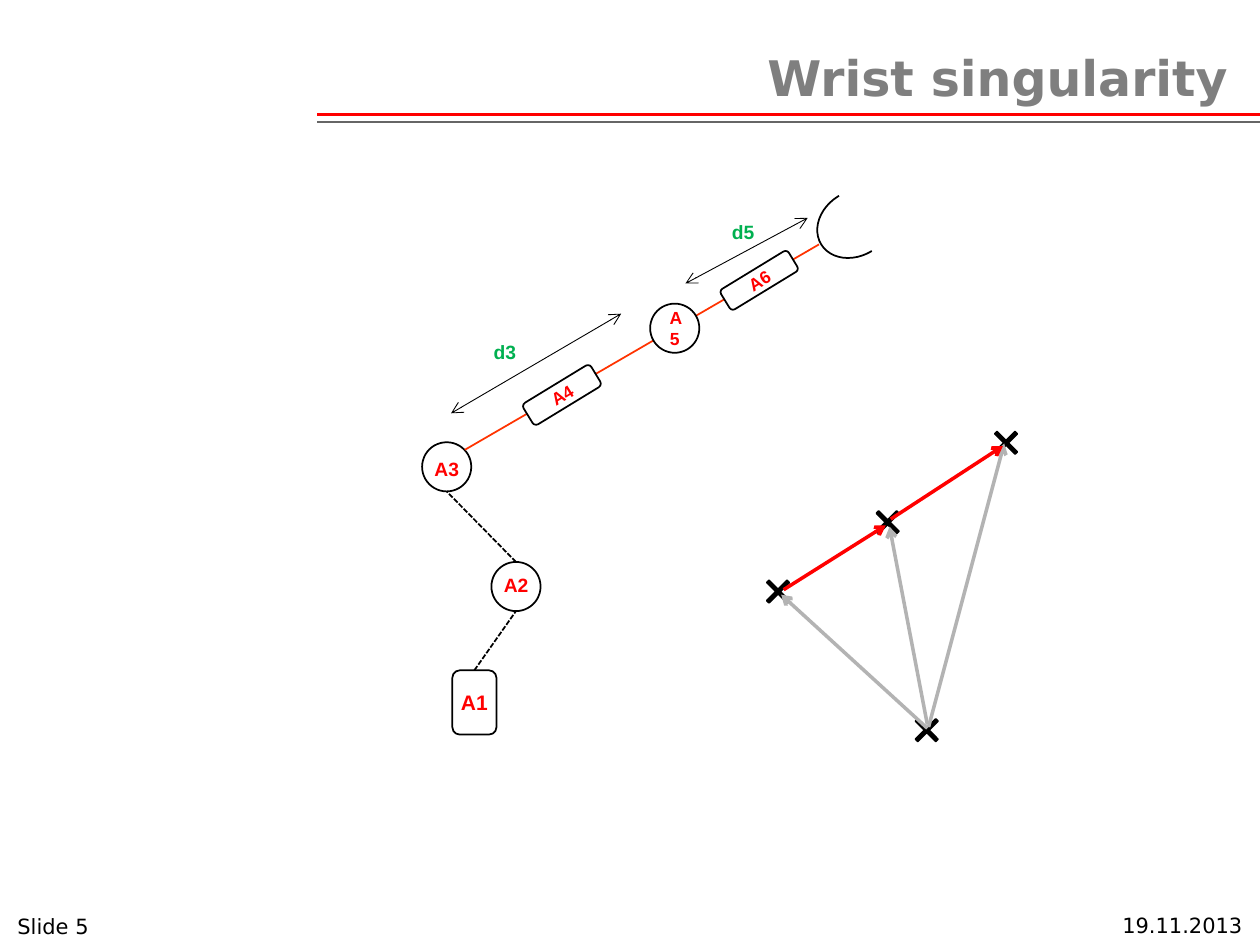
import pptx
import pptx.util
import pptx.dml.color
import pptx.enum.dml
import pptx.enum.shapes
import pptx.enum.text
import pptx.oxml.ns
import lxml.etree

Inches = pptx.util.Inches
SHAPE = pptx.enum.shapes.MSO_SHAPE
ALIGN = pptx.enum.text.PP_ALIGN
ANCHOR = pptx.enum.text.MSO_ANCHOR
FIT = pptx.enum.text.MSO_AUTO_SIZE
DASH = pptx.enum.dml.MSO_LINE.SQUARE_DOT

THEME = {
    "title_font": "DejaVu Sans", "label_font": "Arial",
    "title": "7F7F7F", "black": "000000", "white": "FFFFFF",
    "red": "FF0000", "rule": "666666", "arm": "FF3300",
    "distance": "00B050", "vector": "B3B3B3",
    "title_size": 28, "footer_size": 12, "base_size": 12,
    "joint_size": 11, "wrist_size": 10,
    "rule_width": 1.42, "thin": 0.5, "normal": 1, "thick": 2,
}

# Content: boxes are (left, top, width, height), lines are (x1, y1, x2, y2)
TITLE = ("Wrist singularity", (2.42, 0.22, 7.42, 0.78))
FOOTERS = [
    ("19.11.2013", (7.52, 7.18, 2.44, 0.31), ALIGN.RIGHT),
    ("Slide 5", (0.04, 7.18, 1.18, 0.32), ALIGN.LEFT),
]
RULES = [(0.91, "red"), (0.97, "rule")]
RULE_SPAN = (2.52, 10)

JOINT = 0.39
BASE = ("A1", (3.59, 5.32, 0.35, 0.51))
JOINTS = {"A2": (3.9, 4.46), "A3": (3.35, 3.51)}
JOINT_LABELS = [("A2", (3.9, 4.5, 0.47, 0.29)), ("A3", (3.35, 3.58, 0.47, 0.29))]
WRIST_JOINT = ("A5", (5.16, 2.41, JOINT, JOINT))
ROLL_AXES = [("A4", (4.36, 2.82, 0.2, 0.63)), ("A6", (5.93, 1.91, 0.19, 0.63))]
ROLL_ANGLE = 58.6
ARM = (3.69, 3.57, 6.5, 1.94)
GRIPPER = (6.47, 1.52, 0.63, 0.51)
DISTANCES = [
    ("d3", (3.82, 2.65, 0.38, 0.29), (4.93, 2.49, 3.58, 3.28)),
    ("d5", (5.71, 1.7, 0.38, 0.29), (6.41, 1.73, 5.44, 2.25)),
]

CROSS = 0.31
CROSSES = [(6.02, 4.54), (6.89, 3.99), (7.83, 3.36), (7.2, 5.64)]
VECTORS = [
    ("vector", (7.36, 5.78, 6.2, 4.72)),
    ("vector", (7.36, 5.75, 7.06, 4.18)),
    ("vector", (7.37, 5.77, 7.97, 3.52)),
    ("red", (6.22, 4.68, 7.03, 4.17)),
    ("red", (7.07, 4.12, 7.96, 3.54)),
]

deck = pptx.Presentation()
deck.slide_width, deck.slide_height = Inches(10), Inches(7.5)
page = deck.slides.add_slide(deck.slide_layouts[6])


def color(name):
    return pptx.dml.color.RGBColor.from_string(THEME[name])


def write(shape, text, size, ink, font="label_font", bold=True, align=ALIGN.LEFT,
          anchor=ANCHOR.TOP, wrap=True, grow=True, insets=(0.1, 0.05)):
    frame = shape.text_frame
    frame.word_wrap = wrap
    frame.auto_size = FIT.SHAPE_TO_FIT_TEXT if grow else FIT.NONE
    frame.vertical_anchor = anchor
    frame.margin_left = frame.margin_right = Inches(insets[0])
    frame.margin_top = frame.margin_bottom = Inches(insets[1])
    para = frame.paragraphs[0]
    para.alignment = align
    span = para.add_run()
    span.text = text
    span.font.name = THEME[font]
    span.font.size = pptx.util.Pt(THEME[size])
    span.font.bold = bold
    span.font.color.rgb = color(ink)


def add_label(text, place, *style, **options):
    box = page.shapes.add_textbox(*map(Inches, place))
    write(box, text, *style, **options)


def add_outline(kind, place, fill=None, angle=0, adjustments=()):
    shape = page.shapes.add_shape(kind, *map(Inches, place))
    shape.shadow.inherit = False
    shape.rotation = angle
    for index, value in enumerate(adjustments):
        shape.adjustments[index] = value
    if fill:
        shape.fill.solid()
        shape.fill.fore_color.rgb = color(fill)
    else:
        shape.fill.background()
    shape.line.color.rgb = color("black")
    shape.line.width = pptx.util.Pt(THEME["normal"])
    return shape


def add_line(points, ink, width, dash=None, arrows=()):
    line = page.shapes.add_connector(
        pptx.enum.shapes.MSO_CONNECTOR.STRAIGHT, *map(Inches, points))
    line.line.color.rgb = color(ink)
    line.line.width = pptx.util.Pt(THEME[width])
    if dash:
        line.line.dash_style = dash
    stroke = line.line._get_or_add_ln()
    for end in arrows:
        lxml.etree.SubElement(stroke, pptx.oxml.ns.qn("a:" + end), type="arrow")
    properties = stroke.getparent()
    lxml.etree.SubElement(properties, pptx.oxml.ns.qn("a:effectLst"))
    return line


# Heading, rules and footers
for height, ink in RULES:
    add_line((RULE_SPAN[0], height, RULE_SPAN[1], height), ink, "rule_width")
add_label(*TITLE, "title_size", "title", font="title_font",
          align=ALIGN.RIGHT, anchor=ANCHOR.MIDDLE, grow=False)
for text, place, align in FOOTERS:
    add_label(text, place, "footer_size", "black", font="title_font", bold=False,
              align=align, anchor=ANCHOR.BOTTOM, grow=False)

# Robot base, lower joints and the dashed links between them
base = add_outline(SHAPE.ROUNDED_RECTANGLE, BASE[1])
write(base, BASE[0], "base_size", "red", align=ALIGN.CENTER,
      anchor=ANCHOR.MIDDLE, insets=(0.04, 0.05))
lower = base
for left, top in JOINTS.values():
    joint = add_outline(SHAPE.OVAL, (left, top, JOINT, JOINT))
    link = add_line((0, 0, left + JOINT / 2, top + JOINT), "black", "normal", DASH)
    link.begin_connect(lower, 0)
    lower = joint
for text, place in JOINT_LABELS:
    add_label(text, place, "joint_size", "red")

# Gripper and distances
add_outline(SHAPE.ARC, GRIPPER, angle=148.4, adjustments=(162, 55.09))
for text, place, points in DISTANCES:
    add_line(points, "black", "thin", arrows=("headEnd", "tailEnd"))
    add_label(text, place, "joint_size", "distance", wrap=False)

# Upper arm with the wrist axes on top
add_line(ARM, "arm", "normal")
wrist = add_outline(SHAPE.OVAL, WRIST_JOINT[1], "white")
write(wrist, WRIST_JOINT[0], "wrist_size", "red", align=ALIGN.CENTER,
      anchor=ANCHOR.MIDDLE, wrap=False)
for text, place in ROLL_AXES:
    axis = add_outline(SHAPE.ROUNDED_RECTANGLE, place, "white", ROLL_ANGLE)
    write(axis, text, "wrist_size", "red", align=ALIGN.CENTER,
          anchor=ANCHOR.MIDDLE, insets=(0, 0))
    axis.text_frame._txBody.bodyPr.set("vert", "vert270")

# Vector sketch
for left, top in CROSSES:
    add_outline(SHAPE.MATH_MULTIPLY, (left, top, CROSS, CROSS), "black",
                adjustments=(0.08,))
for ink, points in VECTORS:
    add_line(points, ink, "thick", arrows=("tailEnd",))

deck.save("out.pptx")
